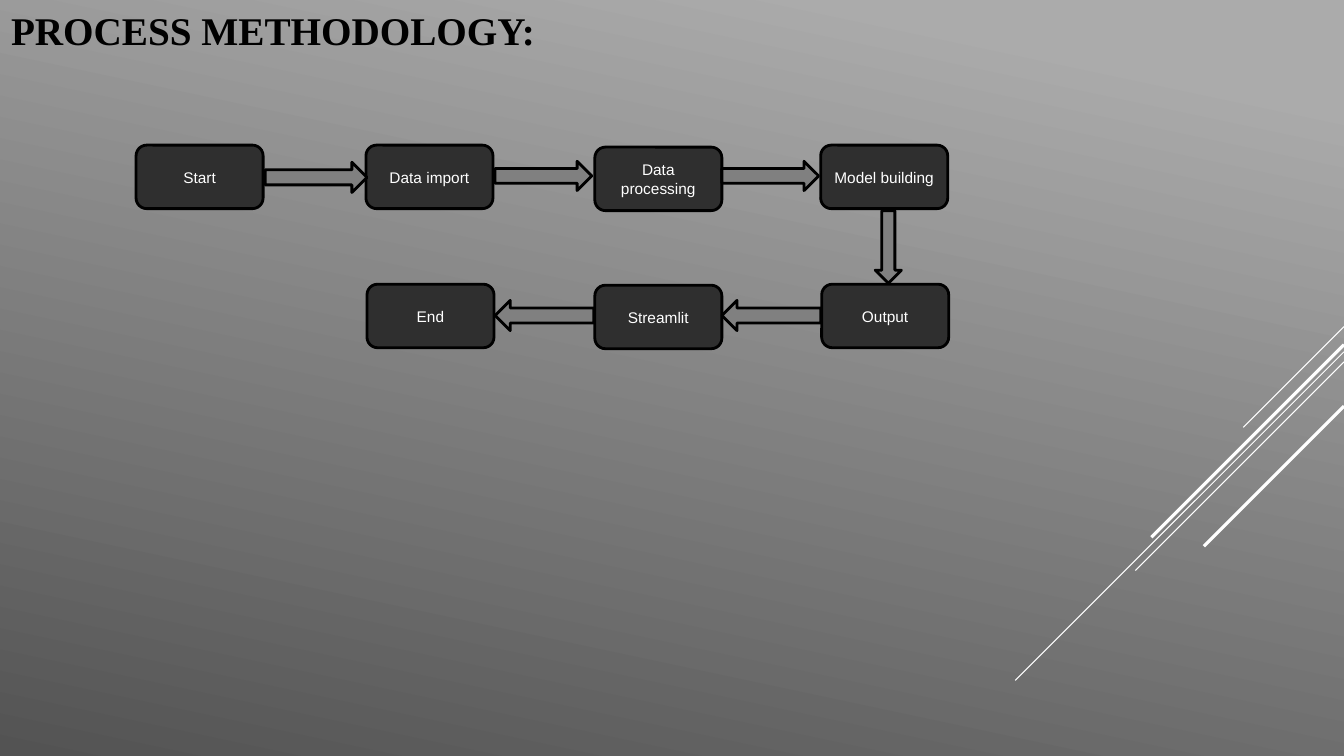
from pptx import Presentation
from pptx.dml.color import RGBColor
from pptx.enum import shapes, text
from pptx.oxml import ns
from pptx.util import Inches, Pt
from lxml import etree

TITLE = "PROCESS METHODOLOGY:"
STEPS = [
    ("Start", 1.35, 1.44),
    ("Data import", 3.63, 1.44),
    ("Data processing", 5.9, 1.46),
    ("Model building", 8.14, 1.44),
    ("Output", 8.15, 2.82),
    ("Streamlit", 5.9, 2.83),
    ("End", 3.64, 2.82),
]
ARROWS = [
    (2.63, 1.61, 1.01, 0.3, 0),
    (4.91, 1.6, 0.96, 0.29, 0),
    (7.16, 1.6, 0.96, 0.29, 0),
    (8.45, 2.32, 0.72, 0.26, 90),
    (7.16, 2.98, 0.98, 0.3, 180),
    (4.91, 2.98, 0.98, 0.3, 180),
]
RAYS = [
    (3.24, 1.0, 0.75),
    (3.49, 3.26, 0.75),
    (3.59, 2.07, 0.75),
    (3.42, 1.91, 2.25),
    (4.03, 1.39, 2.25),
]
WIDE, HIGH = 13.33, 7.5
BOX = (1.26, 0.63)
KIND = shapes.MSO_SHAPE


def color(code):
    return RGBColor.from_string(code)


def write(shape, words, size=11, font="Arial", ink="FFFFFF", bold=False,
          align=text.PP_ALIGN.CENTER, anchor=text.MSO_ANCHOR.MIDDLE, wrap=True):
    frame = shape.text_frame
    frame.word_wrap = wrap
    frame.vertical_anchor = anchor
    para = frame.paragraphs[0]
    para.alignment = align
    run = para.add_run()
    run.text = words
    run.font.size = Pt(size)
    run.font.name = font
    run.font.bold = bold
    run.font.color.rgb = color(ink)


def block(kind, left, top, width, height, fill):
    shape = slide.shapes.add_shape(kind, *map(Inches, (left, top, width, height)))
    shape.shadow.inherit = False
    shape.fill.solid()
    shape.fill.fore_color.rgb = color(fill)
    shape.line.color.rgb = color("000000")
    shape.line.width = Pt(2)
    return shape


def ray(top, span, weight):
    ends = map(Inches, (WIDE, top, WIDE - span, top + span))
    line = slide.shapes.add_connector(shapes.MSO_CONNECTOR.STRAIGHT, *ends)
    line.line.color.rgb = color("FFFFFF")
    line.line.width = Pt(weight)
    etree.SubElement(line._element.spPr, ns.qn("a:effectLst"))


deck = Presentation()
deck.slide_width, deck.slide_height = Inches(WIDE), Inches(HIGH)
slide = deck.slides.add_slide(deck.slide_layouts[5])

back = slide.background.fill
back.gradient()
back.gradient_angle = 258
for stop, (place, code) in zip(back.gradient_stops, [(0.1, "ABABAB"), (1, "535353")]):
    stop.position = place
    stop.color.rgb = color(code)

for item in RAYS:
    ray(*item)

for label, left, top in STEPS:
    step = block(KIND.ROUNDED_RECTANGLE, left, top, *BOX, "2F2F2F")
    write(step, label)

for left, top, width, height, turn in ARROWS:
    arrow = block(KIND.RIGHT_ARROW, left, top, width, height, "808080")
    arrow.rotation = turn

title = slide.shapes.title
title.left, title.top = Inches(0.01), Inches(-0.02)
title.width, title.height = Inches(5.45), Inches(1.04)
title.text_frame.margin_top = Inches(0.08)
write(title, TITLE, size=28, font="Times New Roman", ink="000000", bold=True,
      align=text.PP_ALIGN.LEFT, anchor=text.MSO_ANCHOR.TOP, wrap=False)

deck.save("out.pptx")
